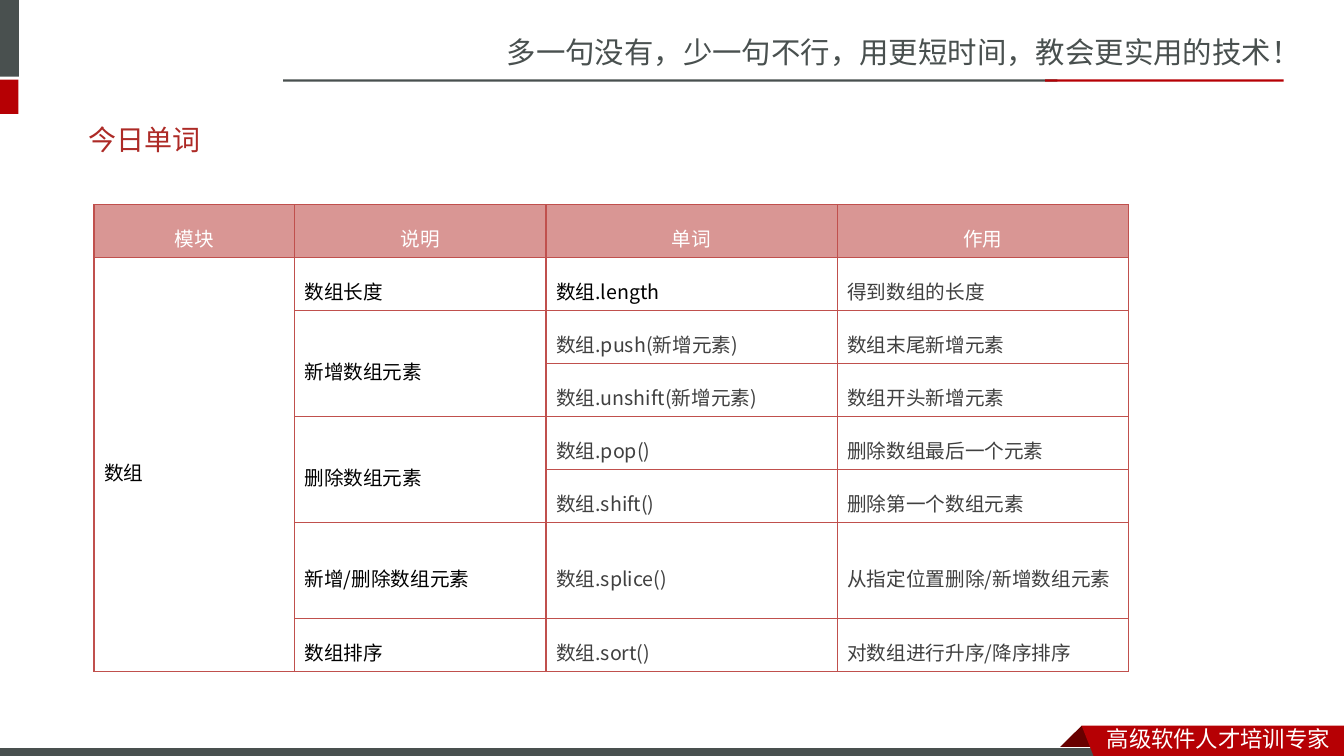
import pptx
import pptx.dml.color
import pptx.enum.shapes
import pptx.enum.text
import pptx.oxml.ns
import pptx.util
import lxml.etree

Pt = pptx.util.Pt
ALIGN = pptx.enum.text.PP_ALIGN
ANCHOR = pptx.enum.text.MSO_ANCHOR
COLORS = {
    "slate": "49504F", "red": "B60004", "maroon": "680000", "title": "AD2A26",
    "header": "D99694", "border": "C0504D", "white": "FFFFFF",
    "black": "000000", "gray": "404040",
}
SANS_SC = "Noto Sans CJK SC"
SANS_JP = "Noto Sans CJK JP"
COLUMN_WIDTHS = [143.2, 179.8, 208, 208]
ROW_HEIGHTS = [37.87] * 6 + [68.5, 37.87]
WORDS = [
    ["模块", "说明", "单词", "作用"],
    ["数组", "数组长度", "数组.length", "得到数组的长度"],
    ["", "新增数组元素", "数组.push(新增元素)", "数组末尾新增元素"],
    ["", "", "数组.unshift(新增元素)", "数组开头新增元素"],
    ["", "删除数组元素", "数组.pop()", "删除数组最后一个元素"],
    ["", "", "数组.shift()", "删除第一个数组元素"],
    ["", "新增/删除数组元素", "数组.splice()", "从指定位置删除/新增数组元素"],
    ["", "数组排序", "数组.sort()", "对数组进行升序/降序排序"],
]
MERGES = [(1, 0, 7), (2, 1, 3), (4, 1, 5)]


def rgb(name):
    return pptx.dml.color.RGBColor.from_string(COLORS[name])


def apply_format(target, values):
    for name, value in values.items():
        setattr(target, name, value)


def write(frame, text, size, font, color, **paragraph_format):
    para = frame.paragraphs[0]
    apply_format(para, paragraph_format)
    span = para.add_run()
    span.text = text
    apply_format(span.font, {"size": Pt(size), "name": font, "bold": False})
    span.font.color.rgb = rgb(color)
    properties = span.font._element
    east_asian = lxml.etree.SubElement(properties, pptx.oxml.ns.qn("a:ea"))
    east_asian.set("typeface", font)


def paint(shape, fill, line=None):
    shape.shadow.inherit = False
    shape.fill.solid()
    shape.fill.fore_color.rgb = rgb(fill)
    if line:
        shape.line.color.rgb = rgb(line)
        shape.line.width = Pt(0.75)
    else:
        shape.line.fill.background()


def add_bar(page, bounds, fill, line=None):
    kind = pptx.enum.shapes.MSO_SHAPE.RECTANGLE
    paint(page.shapes.add_shape(kind, *map(Pt, bounds)), fill, line)


def add_polygon(page, points, fill):
    corners = [(Pt(x), Pt(y)) for x, y in points]
    builder = page.shapes.build_freeform(*corners[0])
    builder.add_line_segments(corners[1:], close=True)
    paint(builder.convert_to_shape(), fill)


def add_label(page, bounds, text, size, color):
    box = page.shapes.add_textbox(*map(Pt, bounds))
    box.text_frame.word_wrap = False
    write(box.text_frame, text, size, SANS_SC, color)


def add_title(page, text):
    title = page.shapes.title
    bounds = {"left": 56.2, "top": 79.2, "width": 843.8, "height": 41}
    apply_format(title, {name: Pt(value) for name, value in bounds.items()})
    title.text_frame.vertical_anchor = ANCHOR.MIDDLE
    write(title.text_frame, text, 20, SANS_JP, "title", alignment=ALIGN.LEFT)


def add_borders(cell):
    properties = cell._tc.get_or_add_tcPr()
    for side in ("lnL", "lnR", "lnT", "lnB"):
        line = lxml.etree.SubElement(properties, pptx.oxml.ns.qn("a:" + side))
        line.set("w", str(Pt(1)))
        fill = lxml.etree.SubElement(line, pptx.oxml.ns.qn("a:solidFill"))
        color = lxml.etree.SubElement(fill, pptx.oxml.ns.qn("a:srgbClr"))
        color.set("val", COLORS["border"])


def cell_color(row, column):
    if row == 0:
        return "white"
    return "black" if column < 2 or (row, column) == (1, 2) else "gray"


def add_word_table(page):
    frame = page.shapes.add_table(
        len(WORDS), len(COLUMN_WIDTHS), Pt(67.1), Pt(146.2),
        Pt(sum(COLUMN_WIDTHS)), Pt(sum(ROW_HEIGHTS)))
    table = frame.table
    apply_format(table, {"first_row": False, "horz_banding": False})
    for column, width in zip(table.columns, COLUMN_WIDTHS):
        column.width = Pt(width)
    for row, height in zip(table.rows, ROW_HEIGHTS):
        row.height = Pt(height)
    for top, column, bottom in MERGES:
        table.cell(top, column).merge(table.cell(bottom, column))
    for row, words in enumerate(WORDS):
        for column, word in enumerate(words):
            cell = table.cell(row, column)
            add_borders(cell)
            cell.fill.solid()
            cell.fill.fore_color.rgb = rgb("white" if row else "header")
            cell.vertical_anchor = ANCHOR.MIDDLE if row else ANCHOR.TOP
            if word:
                write(cell.text_frame, word, 14, SANS_JP, cell_color(row, column),
                      alignment=ALIGN.LEFT if row else ALIGN.CENTER, line_spacing=1.5)


def main():
    deck = pptx.Presentation()
    apply_format(deck, {"slide_width": Pt(960), "slide_height": Pt(540)})
    page = deck.slides.add_slide(deck.slide_layouts[5])
    add_label(page, (354.8, 20.7, 605.5, 33.8),
              "多一句没有，少一句不行，用更短时间，教会更实用的技术！", 21, "slate")
    add_bar(page, (-4.3, 0, 17.8, 54.7), "slate")
    add_bar(page, (-4.3, 56.9, 17.5, 24.5), "red")
    add_bar(page, (202.3, 56.7, 553, 1.6), "slate")
    add_bar(page, (746.6, 56.7, 170.4, 1.6), "red")
    add_polygon(page, [(772.6, 518.4), (788.4, 534.2), (787.7, 535),
                       (757.4, 535), (756.7, 534.2)], "maroon")
    add_bar(page, (-0.7, 533.8, 792, 8.6), "slate", "white")
    add_polygon(page, [(772.6, 518.4), (960, 518.4), (960, 542.6),
                       (782, 542.2)], "red")
    add_label(page, (783.4, 514.3, 176.4, 26.6), "高级软件人才培训专家", 16, "white")
    add_title(page, "今日单词")
    add_word_table(page)
    deck.save("out.pptx")


if __name__ == "__main__":
    main()
